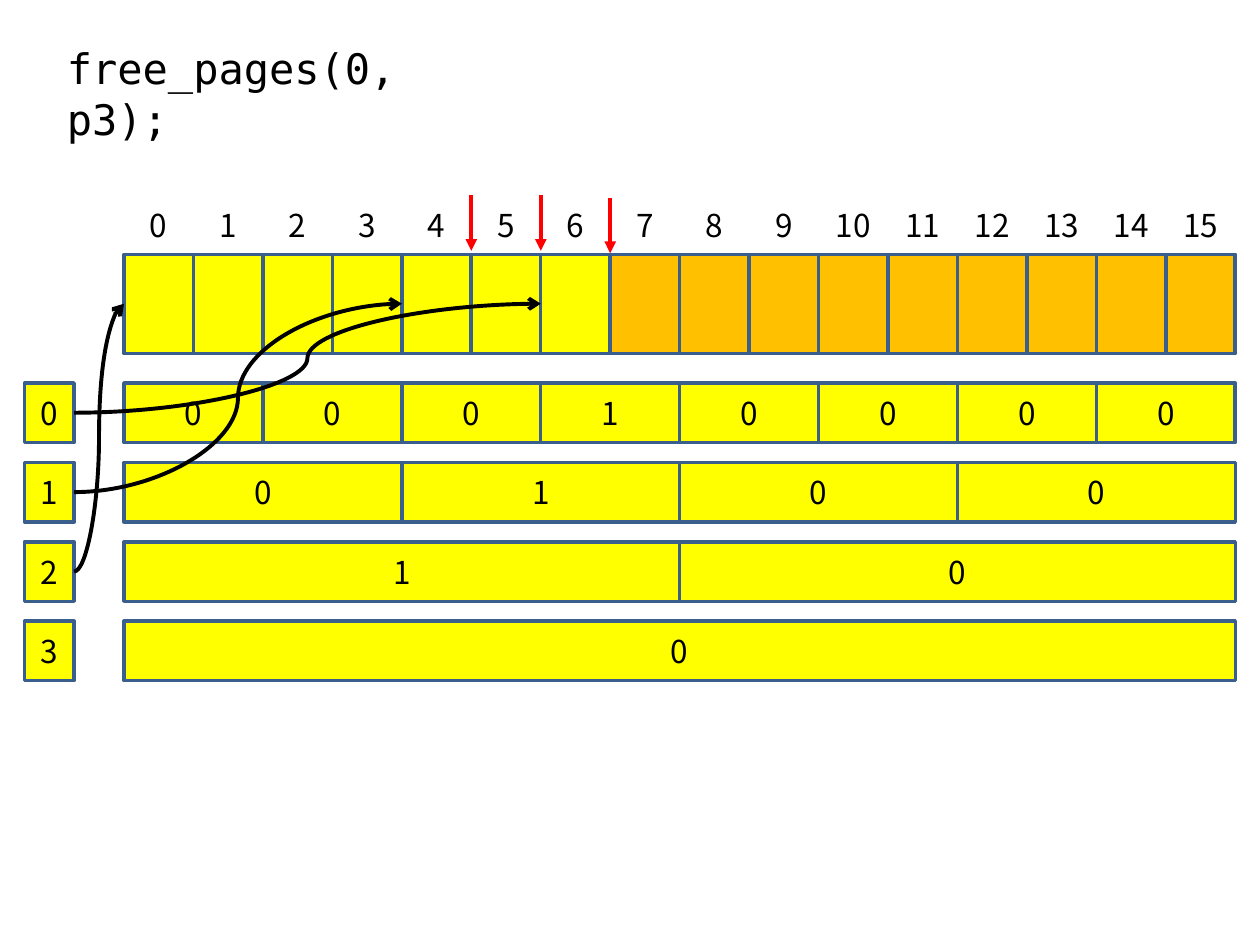
"""Build a slide showing buddy allocator state after freeing page p3."""
from dataclasses import dataclass

from lxml import etree
from pptx import Presentation
from pptx.dml.color import RGBColor
from pptx.enum import shapes, text
from pptx.oxml import ns
from pptx.util import Pt

YELLOW = RGBColor(0xFF, 0xFF, 0x00)
ORANGE = RGBColor(0xFF, 0xC0, 0x00)
BORDER = RGBColor(0x3A, 0x5F, 0x8C)
BLACK = RGBColor(0x00, 0x00, 0x00)
RED = RGBColor(0xFF, 0x00, 0x00)
BODY_FONT = "Noto Sans CJK KR"
CODE_FONT = "DejaVu Sans Mono"

PAGE_COUNT = 16
FREE_PAGE_COUNT = 7
PAGE_LEFT, PAGE_WIDTH = 70.87, 39.69
PAGE_TOP, PAGE_HEIGHT = 145.4, 56.7
NUMBER_TOP = 100.1
ORDER_TOP, ORDER_STEP, ORDER_HEIGHT = 218.9, 45.36, 34.02
LIST_LEFT, LIST_WIDTH = 14.0, 28.35
TARGET_Y = 173.6


@dataclass(frozen=True)
class Box:
    left: float
    top: float
    width: float
    height: float


@dataclass(frozen=True)
class Arrow:
    start: tuple[float, float]
    end: tuple[float, float]
    color: RGBColor
    kind: int
    head: str


@dataclass(frozen=True)
class Order:
    bits: str
    first_free_page: int | None


ORDERS = (
    Order("00010000", 6),
    Order("0100", 4),
    Order("10", 0),
    Order("0", None),
)


def page_x(page: int) -> float:
    """Return the left edge of a page."""
    return PAGE_LEFT + page * PAGE_WIDTH


def order_y(index: int) -> float:
    """Return the top edge of an order's row."""
    return ORDER_TOP + index * ORDER_STEP


def place(box: Box) -> tuple[Pt, Pt, Pt, Pt]:
    """Convert a box to lengths."""
    return Pt(box.left), Pt(box.top), Pt(box.width), Pt(box.height)


def write(shape, content: str) -> None:
    """Write centred body text into a shape."""
    frame = shape.text_frame
    frame.word_wrap = True
    frame.vertical_anchor = text.MSO_ANCHOR.MIDDLE
    paragraph = frame.paragraphs[0]
    paragraph.alignment = text.PP_ALIGN.CENTER
    run = paragraph.add_run()
    run.text = content
    run.font.name = BODY_FONT
    run.font.size = Pt(18)
    run.font.color.rgb = BLACK


def draw_cell(slide, box: Box, fill: RGBColor, content: str = "") -> None:
    """Draw a bordered rectangle with optional text."""
    shape = slide.shapes.add_shape(shapes.MSO_SHAPE.RECTANGLE, *place(box))
    shape.shadow.inherit = False
    shape.fill.solid()
    shape.fill.fore_color.rgb = fill
    shape.line.color.rgb = BORDER
    shape.line.width = Pt(2)
    if content:
        write(shape, content)


def draw_arrow(slide, arrow: Arrow) -> None:
    """Draw a connector with an arrowhead at its end."""
    points = [Pt(value) for value in (*arrow.start, *arrow.end)]
    connector = slide.shapes.add_connector(arrow.kind, *points)
    connector.line.color.rgb = arrow.color
    connector.line.width = Pt(2.25)
    properties = connector._element.spPr
    outline = properties.find(ns.qn("a:ln"))
    etree.SubElement(outline, ns.qn("a:tailEnd"), type=arrow.head)
    etree.SubElement(properties, ns.qn("a:effectLst"))


def draw_title(slide) -> None:
    """Write the freed call into the title placeholder."""
    title = slide.shapes.title
    title.left, title.top, title.width, title.height = place(Box(31, 20.9, 255.6, 36))
    frame = title.text_frame
    frame.word_wrap = True
    frame.auto_size = text.MSO_AUTO_SIZE.NONE
    frame.vertical_anchor = text.MSO_ANCHOR.TOP
    paragraph = frame.paragraphs[0]
    paragraph.alignment = text.PP_ALIGN.LEFT
    run = paragraph.add_run()
    run.text = "free_pages(0, p3);"
    run.font.name = CODE_FONT
    run.font.size = Pt(24)
    run.font.color.rgb = BLACK


def draw_pages(slide) -> None:
    """Draw the numbered row of pages."""
    for page in range(PAGE_COUNT):
        fill = YELLOW if page < FREE_PAGE_COUNT else ORANGE
        draw_cell(slide, Box(page_x(page), PAGE_TOP, PAGE_WIDTH, PAGE_HEIGHT), fill)
    for page in range(PAGE_COUNT):
        box = Box(page_x(page), NUMBER_TOP, PAGE_WIDTH, PAGE_HEIGHT)
        write(slide.shapes.add_textbox(*place(box)), str(page))


def draw_order(slide, index: int, order: Order) -> None:
    """Draw the bitmap and free list head of one order."""
    top = order_y(index)
    width = PAGE_COUNT * PAGE_WIDTH / len(order.bits)
    for position, bit in enumerate(order.bits):
        box = Box(PAGE_LEFT + position * width, top, width, ORDER_HEIGHT)
        draw_cell(slide, box, YELLOW, bit)
    draw_cell(slide, Box(LIST_LEFT, top, LIST_WIDTH, ORDER_HEIGHT), YELLOW, str(index))


def draw_arrows(slide) -> None:
    """Draw the free list links and the page markers."""
    for index, order in enumerate(ORDERS):
        if order.first_free_page is not None:
            start = (LIST_LEFT + LIST_WIDTH, order_y(index) + ORDER_HEIGHT / 2)
            end = (page_x(order.first_free_page), TARGET_Y)
            draw_arrow(slide, Arrow(start, end, BLACK, shapes.MSO_CONNECTOR.CURVE, "arrow"))
    for page, top in ((5, 111.6), (6, 111.6), (7, 113)):
        start, end = (page_x(page), top), (page_x(page), top + 31.7)
        draw_arrow(slide, Arrow(start, end, RED, shapes.MSO_CONNECTOR.STRAIGHT, "triangle"))


def main() -> None:
    """Build and save the presentation."""
    presentation = Presentation()
    presentation.slide_width, presentation.slide_height = Pt(720), Pt(540)
    slide = presentation.slides.add_slide(presentation.slide_layouts[5])
    draw_title(slide)
    draw_pages(slide)
    for index, order in enumerate(ORDERS):
        draw_order(slide, index, order)
    draw_arrows(slide)
    presentation.save("out.pptx")


main()
